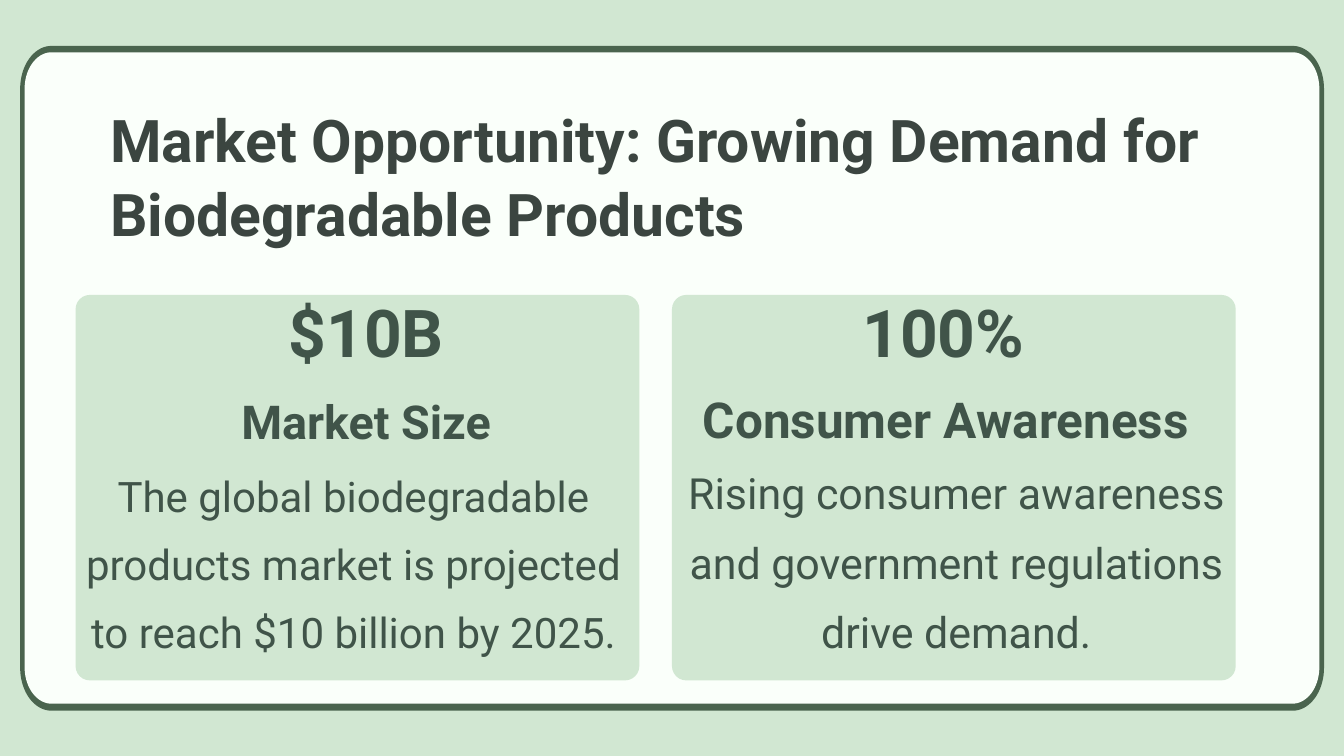
"""Build the market opportunity slide with a framed panel and two statistic cards."""
from math import cos, radians, sin

from pptx import Presentation
from pptx.dml.color import RGBColor
from pptx.enum.shapes import MSO_SHAPE
from pptx.enum.text import MSO_ANCHOR, MSO_AUTO_SIZE, PP_ALIGN
from pptx.util import Pt

ROUNDED = MSO_SHAPE.ROUNDED_RECTANGLE
TOP, NO_FIT = MSO_ANCHOR.TOP, MSO_AUTO_SIZE.NONE
LEFT, CENTER = PP_ALIGN.LEFT, PP_ALIGN.CENTER

MINT = RGBColor(0xD1, 0xE7, 0xD2)
CREAM = RGBColor(0xFA, 0xFF, 0xFA)
FOREST = RGBColor(0x4A, 0x64, 0x4E)
CHARCOAL = RGBColor(0x3B, 0x45, 0x40)
PINE = RGBColor(0x40, 0x54, 0x49)
FONT = "Roboto"

SLIDE_SIZE = (1440, 810)
FRAME_LAYERS = [
    {"area": (21.6, 49.2, 1397, 712.3), "radii": (33.5, 46), "color": FOREST},
    {"area": (26.4, 56, 1387.2, 698), "radii": (29, 39), "color": CREAM},
]
CARD_TOP, CARD_WIDTH, CARD_HEIGHT, CARD_RADIUS = 316, 604, 413, 15.3
CARD_LEFTS = (81, 720)

TITLE = {
    "words": "Market Opportunity: Growing Demand for Biodegradable Products",
    "area": (118, 108.7, 1204, 157), "size": 63, "spacing": 78.4,
    "bold": True, "color": CHARCOAL, "align": LEFT,
}
STAT_STYLE = {"size": 70.6, "spacing": 70.6, "bold": True}
CARD_TEXTS = [
    {"words": "$10B", "area": (99.4, 326.2, 586, 63.4), **STAT_STYLE},
    {"words": "Market Size", "area": (136.8, 419.8, 511.2, 62.6),
     "size": 50, "spacing": 61.6, "bold": True},
    {"words": "The global biodegradable products market is projected to reach "
              "$10 billion by 2025.",
     "area": (85.7, 485.3, 586, 215.3), "size": 45, "spacing": 72.8, "bold": False},
    {"words": "100%", "area": (717.8, 326.2, 586, 63.4), **STAT_STYLE},
    {"words": "Consumer Awareness", "area": (720.7, 415.4, 586, 67),
     "size": 53, "spacing": 65.3, "bold": True},
    {"words": "Rising consumer awareness and government regulations drive demand.",
     "area": (731.5, 481, 586, 220.3), "size": 46, "spacing": 74.4, "bold": False},
]


def paint(shape, color):
    shape.shadow.inherit = False
    shape.fill.solid()
    shape.fill.fore_color.rgb = color
    shape.line.fill.background()


def add_frame_layer(slide, area, radii, color):
    left, top, width, height = area
    rx, ry = radii
    near_x, far_x = left + rx, left + width - rx
    near_y, far_y = top + ry, top + height - ry
    corners = [(near_x, near_y, 180), (far_x, near_y, 270),
               (far_x, far_y, 0), (near_x, far_y, 90)]
    outline = [
        (Pt(x + rx * cos(radians(start + step))), Pt(y + ry * sin(radians(start + step))))
        for x, y, start in corners for step in range(0, 91, 5)
    ]
    builder = slide.shapes.build_freeform(*outline[0])
    builder.add_line_segments(outline[1:], close=True)
    paint(builder.convert_to_shape(), color)


def add_card(slide, left):
    card = slide.shapes.add_shape(
        ROUNDED, Pt(left), Pt(CARD_TOP), Pt(CARD_WIDTH), Pt(CARD_HEIGHT))
    card.adjustments[0] = CARD_RADIUS / CARD_HEIGHT
    paint(card, MINT)


def write(holder, words, area, size, spacing, bold, color=PINE, align=CENTER):
    left, top, width, height = map(Pt, area)
    frame = holder.text_frame
    frame.text = words
    paragraph = frame.paragraphs[0]
    formats = [
        (holder, {"left": left, "top": top, "width": width, "height": height}),
        (frame, {"margin_left": 0, "margin_top": 0, "margin_right": 0,
                 "margin_bottom": 0, "word_wrap": True, "auto_size": NO_FIT,
                 "vertical_anchor": TOP}),
        (paragraph, {"alignment": align, "line_spacing": Pt(spacing),
                     "space_before": Pt(0)}),
        (paragraph.runs[0].font, {"name": FONT, "size": Pt(size), "bold": bold}),
    ]
    for target, values in formats:
        for attribute, value in values.items():
            setattr(target, attribute, value)
    paragraph.runs[0].font.color.rgb = color


def main():
    deck = Presentation()
    deck.slide_width, deck.slide_height = map(Pt, SLIDE_SIZE)
    slide = deck.slides.add_slide(deck.slide_layouts.get_by_name("Title Only"))
    slide.background.fill.solid()
    slide.background.fill.fore_color.rgb = MINT

    for layer in FRAME_LAYERS:
        add_frame_layer(slide, **layer)
    for left in CARD_LEFTS:
        add_card(slide, left)

    title = slide.shapes.title
    slide.shapes._spTree.append(title._element)
    write(title, **TITLE)
    for card_text in CARD_TEXTS:
        write(slide.shapes.add_textbox(*map(Pt, card_text["area"])), **card_text)

    deck.save("out.pptx")


if __name__ == "__main__":
    main()
